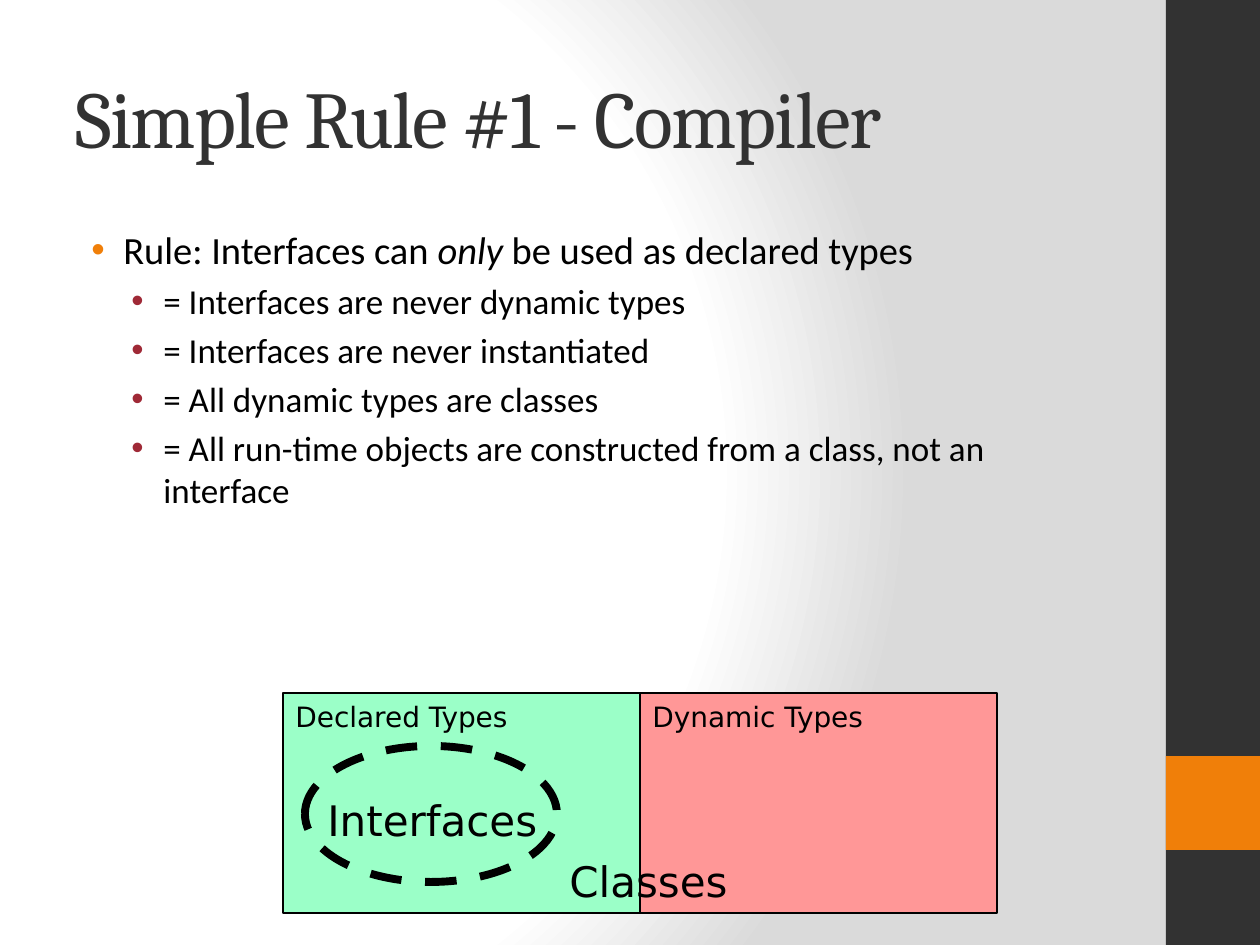
from lxml.etree import SubElement
from pptx import Presentation
from pptx.dml.color import RGBColor
from pptx.enum.dml import MSO_LINE
from pptx.enum.shapes import MSO_SHAPE
from pptx.enum.text import MSO_ANCHOR, PP_ALIGN
from pptx.oxml import parse_xml
from pptx.oxml.ns import nsdecls, qn
from pptx.util import Pt

SCALE = 914400 / 126  # EMU per px
BLACK = RGBColor(0x00, 0x00, 0x00)
CHARCOAL = RGBColor(0x32, 0x32, 0x32)
ORANGE = RGBColor(0xF0, 0x7F, 0x09)
CRIMSON = RGBColor(0x9F, 0x29, 0x36)
GREEN = RGBColor(0x9B, 0xFF, 0xC8)
PINK = RGBColor(0xFF, 0x97, 0x97)


def add_box(kind, left, top, width, height, fill=None, line_width=None):
    box = [round(value * SCALE) for value in (left, top, width, height)]
    if kind is None:
        return slide.shapes.add_textbox(*box)
    shape = slide.shapes.add_shape(kind, *box)
    shape.shadow.inherit = False
    if fill is None:
        shape.fill.background()
    else:
        shape.fill.solid()
        shape.fill.fore_color.rgb = fill
    if line_width is None:
        shape.line.fill.background()
    else:
        shape.line.color.rgb = BLACK
        shape.line.width = Pt(line_width)
    return shape


def set_font(paragraph, name, size, color=BLACK):
    paragraph.font.name = name
    paragraph.font.size = Pt(size)
    paragraph.font.color.rgb = color


presentation = Presentation()
presentation.slide_width = round(1260 * SCALE)
presentation.slide_height = round(945 * SCALE)
slide = presentation.slides.add_slide(presentation.slide_layouts[6])

# Background: circular gradient
slide.element.cSld.insert(0, parse_xml(
    f'<p:bg {nsdecls("p", "a")}><p:bgPr><a:gradFill rotWithShape="1"><a:gsLst>'
    '<a:gs pos="0"><a:srgbClr val="FFFFFF"/></a:gs>'
    '<a:gs pos="75000"><a:srgbClr val="FFFFFF"/></a:gs>'
    '<a:gs pos="100000"><a:srgbClr val="DADADA"/></a:gs></a:gsLst>'
    '<a:path path="circle"><a:fillToRect l="20000" t="50000" r="100000" b="50000"/></a:path>'
    '</a:gradFill><a:effectLst/></p:bgPr></p:bg>'))

# Side bar
add_box(MSO_SHAPE.RECTANGLE, 1166, 0, 94, 945, CHARCOAL)
add_box(MSO_SHAPE.RECTANGLE, 1166, 756, 94, 94, ORANGE)

# Title
title_frame = add_box(None, 63, 38, 1050, 157).text_frame
title_frame.word_wrap = True
title_frame.vertical_anchor = MSO_ANCHOR.MIDDLE
paragraph = title_frame.paragraphs[0]
run = paragraph.add_run()
run.text = "Simple Rule #1 - Compiler"
run.font._element.set("spc", "-100")
set_font(paragraph, "Cambria", 46, CHARCOAL)

# Bulleted rules: indent in px, size, bullet colour, runs (every second one italic)
RULES = [
    (48, 22, ORANGE, ["Rule: Interfaces can ", "only ", "be used as declared types"]),
    (88, 20, CRIMSON, ["= Interfaces are never dynamic types"]),
    (88, 20, CRIMSON, ["= Interfaces are never instantiated"]),
    (88, 20, CRIMSON, ["= All dynamic types are classes"]),
    (88, 20, CRIMSON, ["= All run-time objects are constructed from a class, not an interface"]),
]
body_frame = add_box(None, 63, 220, 1050, 662).text_frame
body_frame.word_wrap = True
for index, (indent, size, bullet_color, texts) in enumerate(RULES):
    paragraph = body_frame.add_paragraph() if index else body_frame.paragraphs[0]
    paragraph.level = 1 if index else 0
    paragraph.space_before = Pt(4)
    properties = paragraph._p.get_or_add_pPr()
    properties.set("marL", str(round(indent * SCALE)))
    properties.set("indent", str(round(-32 * SCALE)))
    color = SubElement(properties, qn("a:buClr"))
    SubElement(color, qn("a:srgbClr"), val=str(bullet_color))
    SubElement(properties, qn("a:buFont"), typeface="Arial")
    SubElement(properties, qn("a:buChar"), char="•")
    set_font(paragraph, "Calibri", size)
    for position, text in enumerate(texts):
        run = paragraph.add_run()
        run.text = text
        if position % 2:
            run.font.italic = True

# Type areas, side by side
for column, (text, fill) in enumerate([("Declared Types", GREEN), ("Dynamic Types", PINK)]):
    area = add_box(MSO_SHAPE.RECTANGLE, 283 + 357 * column, 693, 357, 220, fill, 0.75)
    area.text_frame.vertical_anchor = MSO_ANCHOR.TOP
    paragraph = area.text_frame.paragraphs[0]
    paragraph.text = text
    paragraph.alignment = PP_ALIGN.LEFT
    set_font(paragraph, "DejaVu Sans", 16)

# Interfaces ring
ring = add_box(MSO_SHAPE.OVAL, 305, 746, 252, 136, line_width=4.5)
ring.line.dash_style = MSO_LINE.DASH

# Labels
for text, left, top, width in [("Interfaces", 315, 788, 241), ("Classes", 557, 849, 184)]:
    label_frame = add_box(None, left, top, width, 64).text_frame
    label_frame.word_wrap = False
    paragraph = label_frame.paragraphs[0]
    paragraph.text = text
    set_font(paragraph, "DejaVu Sans", 24)

presentation.save("out.pptx")
